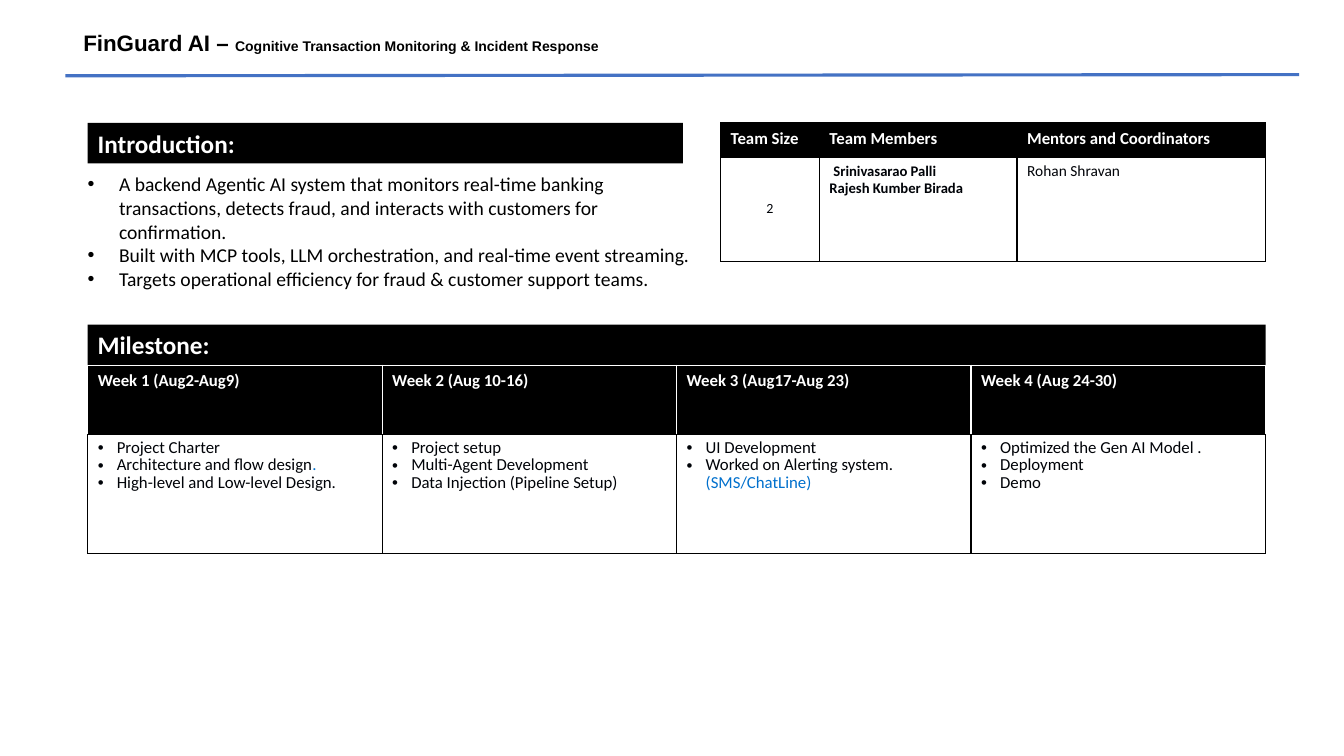
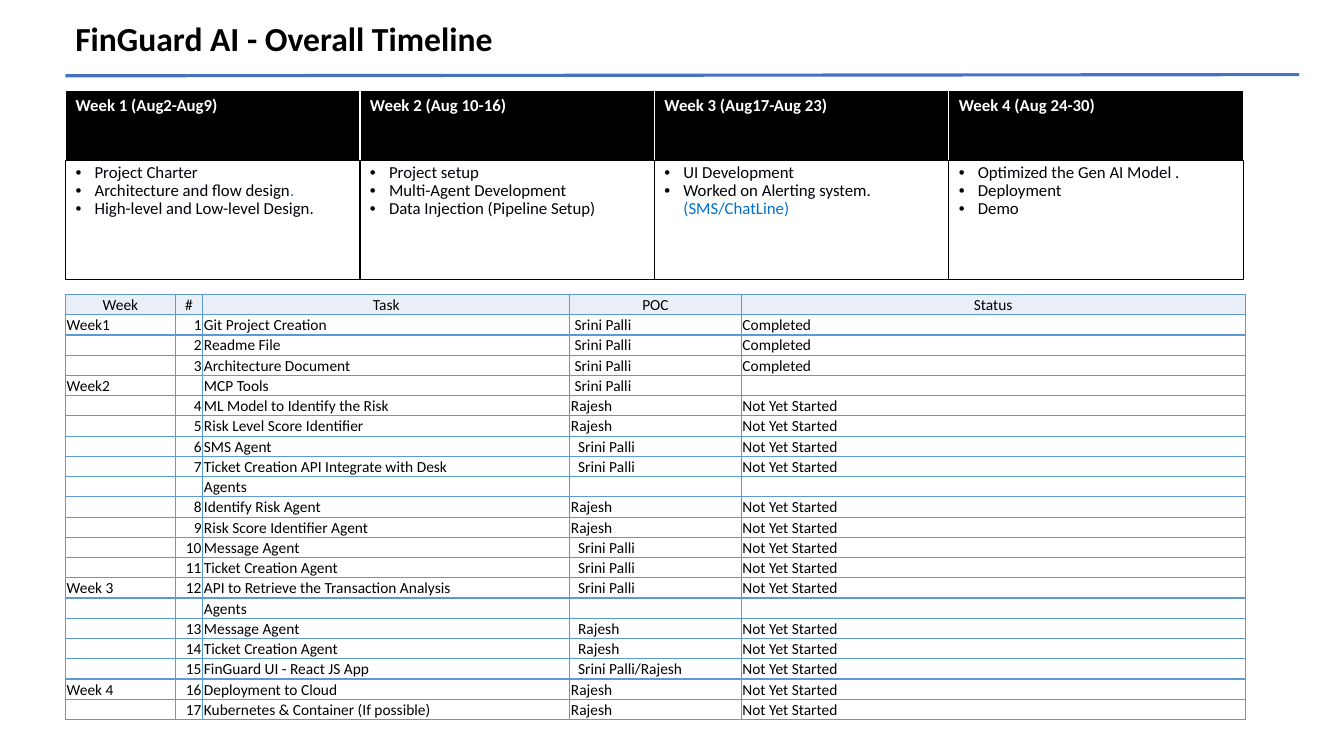
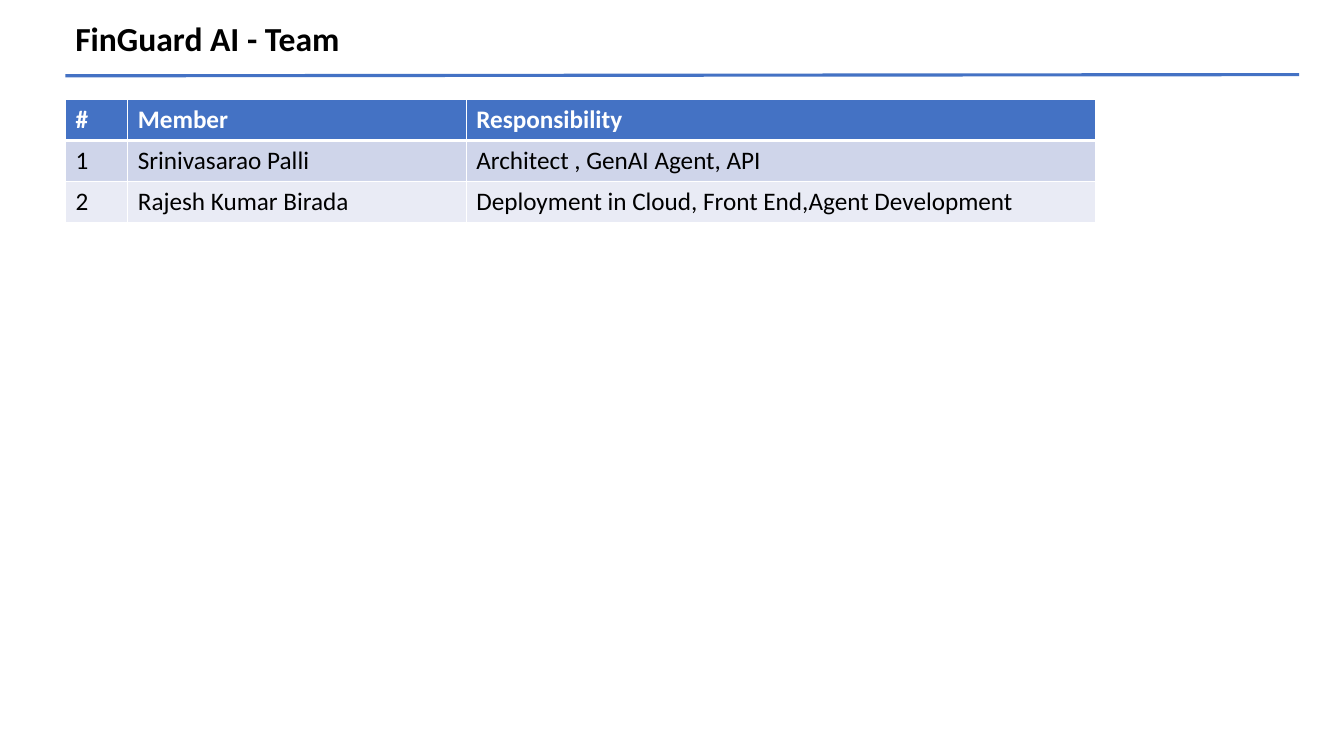
from lxml import etree
from pptx import Presentation
from pptx.dml.color import RGBColor
from pptx.enum.shapes import MSO_CONNECTOR, MSO_SHAPE
from pptx.enum.text import MSO_ANCHOR, PP_ALIGN
from pptx.oxml.ns import qn
from pptx.util import Cm, Pt

LEFT, CENTER, RIGHT = PP_ALIGN.LEFT, PP_ALIGN.CENTER, PP_ALIGN.RIGHT
TOP, MIDDLE, BOTTOM = MSO_ANCHOR.TOP, MSO_ANCHOR.MIDDLE, MSO_ANCHOR.BOTTOM
RECT, STRAIGHT = MSO_SHAPE.RECTANGLE, MSO_CONNECTOR.STRAIGHT


class Theme:
    black, white, ink = "000000", "FFFFFF", "000308"
    accent, link = "4472C4", "0070CD"
    grid, grid_head = "5B9BD5", "EAEFF7"
    band_dark, band_light = "CFD5EA", "E9EBF5"
    body, heading = "Calibri", "Arial"
    title, bar, lead, text, small = 24, 18, 14, 12, 11


# Content: a paragraph is a string or a list of runs; a run is a string or (text, style)
LINK = {"color": Theme.link}
INTRO = [
    "A backend Agentic AI system that monitors real-time banking transactions, "
    "detects fraud, and interacts with customers for confirmation.",
    "Built with MCP tools, LLM orchestration, and real-time event streaming.",
    "Targets operational efficiency for fraud & customer support teams.",
]
TEAM_HEADS = ["Team Size", "Team Members", "Mentors and Coordinators"]
TEAM_MEMBERS = ["Srinivasarao Palli", "Rajesh Kumber Birada"]
WEEKS = [
    ("Week 1 (Aug2-Aug9)", ["Project Charter",
                            ["Architecture and flow design", (".", LINK)],
                            "High-level and Low-level Design."]),
    ("Week 2 (Aug 10-16)", ["Project setup", "Multi-Agent Development",
                            "Data Injection (Pipeline Setup)"]),
    ("Week 3 (Aug17-Aug 23)", ["UI Development",
                               ["Worked on Alerting system.", (" (SMS/ChatLine)", LINK)]]),
    ("Week 4 (Aug 24-30)", ["Optimized the Gen AI Model .", "Deployment", "Demo"]),
]
TASK_HEADS = ["Week", "#", "Task", "POC", "Status"]
DONE, OPEN = "Completed", "Not Yet Started"
# Week, number, task, contact, contact indent steps, status
TASKS = [
    ("Week1", "1", "Git Project Creation", "Srini Palli", 1, DONE),
    ("", "2", "Readme File", "Srini Palli", 1, DONE),
    ("", "3", "Architecture Document", "Srini Palli", 1, DONE),
    ("Week2", "", "MCP Tools", "Srini Palli", 1, ""),
    ("", "4", "ML Model to Identify the Risk", "Rajesh", 0, OPEN),
    ("", "5", "Risk Level Score Identifier", "Rajesh", 0, OPEN),
    ("", "6", "SMS Agent", "Srini Palli", 2, OPEN),
    ("", "7", "Ticket Creation API Integrate with Desk", "Srini Palli", 2, OPEN),
    ("", "", "Agents", "", 0, ""),
    ("", "8", "Identify Risk Agent", "Rajesh", 0, OPEN),
    ("", "9", "Risk Score Identifier Agent", "Rajesh", 0, OPEN),
    ("", "10", "Message Agent", "Srini Palli", 2, OPEN),
    ("", "11", "Ticket Creation Agent", "Srini Palli", 2, OPEN),
    ("Week 3", "12", "API to Retrieve the Transaction Analysis", "Srini Palli", 2, OPEN),
    ("", "", "Agents", "", 0, ""),
    ("", "13", "Message Agent", "Rajesh", 2, OPEN),
    ("", "14", "Ticket Creation Agent", "Rajesh", 2, OPEN),
    ("", "15", "FinGuard UI - React JS App", "Srini Palli/Rajesh", 2, OPEN),
    ("Week 4", "16", "Deployment to Cloud", "Rajesh", 0, OPEN),
    ("", "17", "Kubernetes & Container (If possible)", "Rajesh", 0, OPEN),
]
ROLES = [
    ["#", "Member", "Responsibility"],
    ["1", "Srinivasarao Palli", "Architect , GenAI Agent, API"],
    ["2", "Rajesh Kumar Birada", "Deployment in Cloud, Front End,Agent Development"],
]

# Text
DEFAULT = {"name": Theme.body, "size": Theme.text, "bold": False, "color": Theme.black}
WHITE_BOLD = {"color": Theme.white, "bold": True}


def set_font(font, style):
    font.color.rgb = RGBColor.from_string(style["color"])
    for key, value in {"name": style["name"], "size": Pt(style["size"]),
                       "bold": style["bold"]}.items():
        setattr(font, key, value)


def write(tf, paras, **style):
    style = DEFAULT | style
    for i, runs in enumerate(paras):
        p = tf.paragraphs[0] if i == 0 else tf.add_paragraph()
        pPr = p._p.get_or_add_pPr()
        hang = style.get("bullet")
        if hang:
            pPr.set("marL", str(Cm(hang)))
            pPr.set("indent", str(-Cm(hang)))
            etree.SubElement(pPr, qn("a:buFont"), typeface="Arial")
            etree.SubElement(pPr, qn("a:buChar"), char="•")
        elif i == 0 and style.get("indent"):
            pPr.set("marL", str(Cm(style["indent"])))
        p.alignment = style.get("align", LEFT)
        if "leading" in style:
            p.line_spacing = Pt(style["leading"])
        for run in [runs] if isinstance(runs, str) else runs:
            text, extra = (run, {}) if isinstance(run, str) else run
            if text:
                r = p.add_run()
                r.text = text
                set_font(r.font, style | extra)
            else:  # keeps an empty row at its text height
                etree.SubElement(p._p, qn("a:endParaRPr"), sz=str(style["size"] * 100))


def add_text(slide, left, top, width, height, paras, **style):
    tf = slide.shapes.add_textbox(Cm(left), Cm(top), Cm(width), Cm(height)).text_frame
    tf.word_wrap = True
    write(tf, paras, **style)


def add_bar(slide, top, width, text):
    sp = slide.shapes.add_shape(RECT, Cm(2.21), Cm(top), Cm(width), Cm(1.02))
    sp.shadow.inherit = False
    sp.fill.solid()
    sp.fill.fore_color.rgb = RGBColor.from_string(Theme.black)
    sp.line.fill.background()
    sp.text_frame.vertical_anchor = MIDDLE
    write(sp.text_frame, [text], size=Theme.bar, **WHITE_BOLD)


# Tables: a cell is (paragraphs, style)
def edges(color, bottom=None, width=1, bottom_width=1):
    sides = {side: (color, width) for side in "LRTB"}
    return sides | {"B": (bottom or color, bottom_width)}


def format_cell(cell, paras, style):
    tcPr = cell._tc.get_or_add_tcPr()
    for side, (color, width) in style["edges"].items():
        ln = etree.SubElement(tcPr, qn("a:ln" + side), w=str(Pt(width)))
        fill = etree.SubElement(ln, qn("a:solidFill"))
        etree.SubElement(fill, qn("a:srgbClr"), val=color)
    if "fill" in style:
        cell.fill.solid()
        cell.fill.fore_color.rgb = RGBColor.from_string(style["fill"])
    else:
        cell.fill.background()
    cell.vertical_anchor = style.get("anchor", TOP)
    if style.get("tight"):
        for name, value in {"left": 0.03, "right": 0.03, "top": 0.03, "bottom": 0}.items():
            setattr(cell, "margin_" + name, Cm(value))
    write(cell.text_frame, paras, **style)


def add_grid(slide, left, top, cols, rows, cells):
    frame = slide.shapes.add_table(len(rows), len(cols), Cm(left), Cm(top),
                                   Cm(sum(cols)), Cm(sum(rows)))
    table = frame.table
    table.horz_banding = False
    for col, width in zip(table.columns, cols):
        col.width = Cm(width)
    for row, height, contents in zip(table.rows, rows, cells):
        row.height = Cm(height)
        for cell, (paras, style) in zip(row.cells, contents):
            format_cell(cell, paras, style)


def add_weeks(slide, left, top):
    head = {"fill": Theme.black, "edges": edges(Theme.white, Theme.black)} | WHITE_BOLD
    body = {"fill": Theme.white, "edges": edges(Theme.black), "color": Theme.ink,
            "bullet": 0.48, "leading": 12.8}
    cells = [[([week], head) for week, _ in WEEKS], [(items, body) for _, items in WEEKS]]
    add_grid(slide, left, top, [7.42] * len(WEEKS), [1.75, 3], cells)


# Shared slide frame
def new_slide(prs, title, top=0.33, **style):
    slide = prs.slides.add_slide(prs.slide_layouts[6])
    add_text(slide, 1.65, top, 22.28, 1.96, [title],
             **({"size": Theme.title, "bold": True} | style))
    rule = slide.shapes.add_connector(STRAIGHT, Cm(1.65), Cm(1.91), Cm(32.74), Cm(1.88))
    rule.line.color.rgb = RGBColor.from_string(Theme.accent)
    rule.line.width = Pt(2.25)
    etree.SubElement(rule._element.spPr, qn("a:effectLst"))
    return slide


def intro_slide(prs):
    title = ["FinGuard AI – ", ("Cognitive Transaction Monitoring & Incident Response",
                                {"size": 10})]
    slide = new_slide(prs, title, top=0.62, name=Theme.heading, size=16, indent=0.2)
    add_bar(slide, 3.1, 15, "Introduction:")
    add_text(slide, 1.96, 4.22, 15.98, 3.25, INTRO, size=Theme.lead, bullet=0.79)

    line = {"edges": edges(Theme.black)}
    head = line | {"fill": Theme.black} | WHITE_BOLD
    size = line | {"size": 10, "color": Theme.ink, "align": CENTER, "anchor": MIDDLE}
    members = line | {"size": 10.5, "bold": True, "color": Theme.ink, "indent": 0.1}
    mentor = line | {"size": Theme.small, "color": Theme.ink}
    cells = [[([text], head) for text in TEAM_HEADS],
             [(["2"], size), (TEAM_MEMBERS, members), (["Rohan Shravan"], mentor)]]
    add_grid(slide, 18.16, 3.1, [2.49, 4.98, 6.27], [0.86, 2.62], cells)

    add_bar(slide, 8.18, 29.69, "Milestone:")
    add_weeks(slide, 2.21, 9.2)


def timeline_slide(prs):
    slide = new_slide(prs, "FinGuard AI - Overall Timeline")
    add_weeks(slide, 1.65, 2.29)
    base = {"edges": edges(Theme.grid), "size": Theme.small, "tight": True}
    head = base | {"fill": Theme.grid_head, "align": CENTER, "anchor": MIDDLE}
    body = base | {"anchor": BOTTOM}
    number = body | {"align": RIGHT}
    cells = [[([text], head) for text in TASK_HEADS]]
    for week, no, task, contact, steps, status in TASKS:
        cells.append([([week], body), ([no], number), ([task], body),
                      ([contact], body | {"indent": 0.09 * steps}), ([status], body)])
    add_grid(slide, 1.65, 7.42, [2.77, 0.69, 9.25, 4.32, 12.7], [0.51] * len(cells), cells)


def team_slide(prs):
    slide = new_slide(prs, "FinGuard AI - Team")
    base = {"size": Theme.bar, "edges": edges(Theme.white)}
    styles = [base | {"fill": Theme.accent,
                      "edges": edges(Theme.white, bottom_width=3)} | WHITE_BOLD,
              base | {"fill": Theme.band_dark},
              base | {"fill": Theme.band_light}]
    cells = [[([text], style) for text in row] for row, style in zip(ROLES, styles)]
    add_grid(slide, 1.65, 2.51, [1.57, 8.53, 15.85], [1.03] * len(cells), cells)


def main():
    prs = Presentation()
    prs.slide_width, prs.slide_height = Cm(33.87), Cm(19.05)
    for build in (intro_slide, timeline_slide, team_slide):
        build(prs)
    prs.save("out.pptx")


if __name__ == "__main__":
    main()
